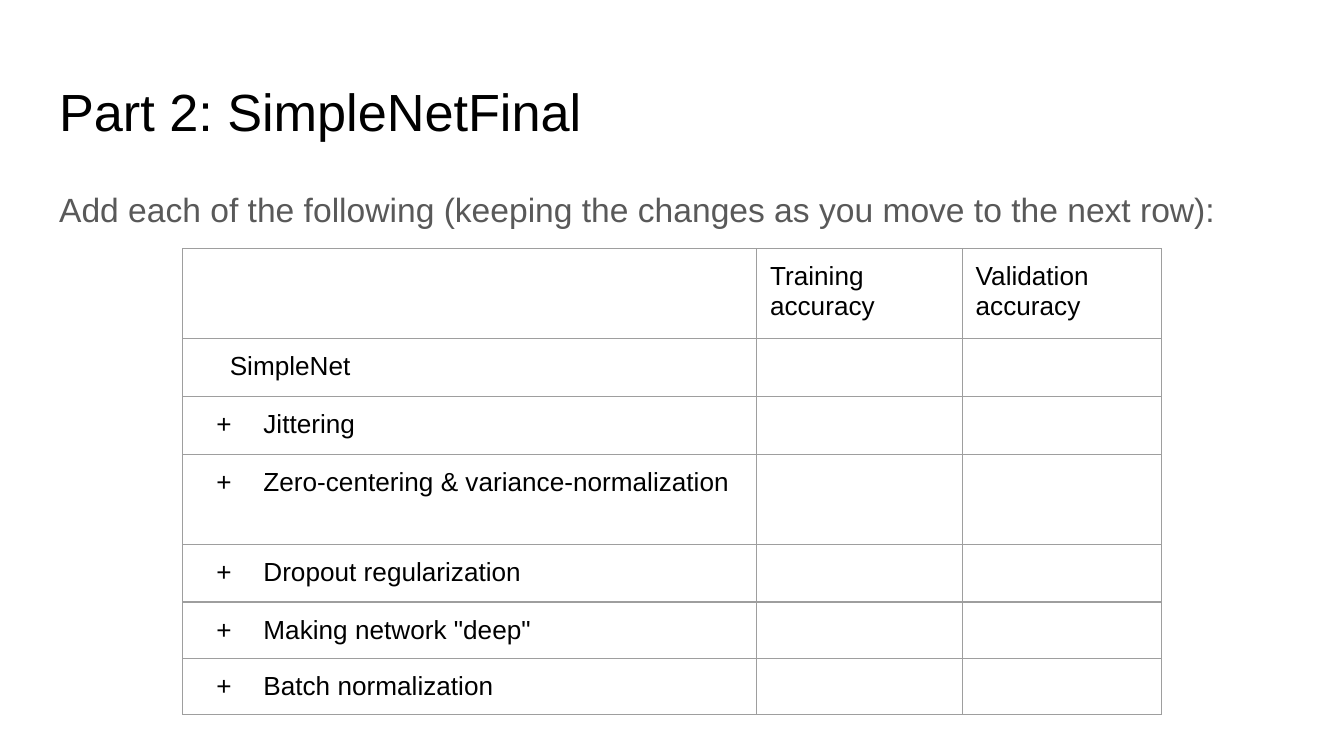
import pptx
import pptx.util
import pptx.dml.color
import pptx.enum.text
import pptx.oxml
import pptx.oxml.ns
from lxml import etree

Inches = pptx.util.Inches
Pt = pptx.util.Pt
qn = pptx.oxml.ns.qn

COLORS = {"title": "000000", "body": "595959", "cell": "000000", "border": "9E9E9E"}
COLUMN_WIDTHS = [4.27, 1.53, 1.48]
ROW_HEIGHTS = [0.67, 0.43, 0.43, 0.67, 0.43, 0.42, 0.42]
HEADINGS = ["", "Training accuracy", "Validation accuracy"]
BASELINE = "SimpleNet"
ADDITIONS = [
    "Jittering",
    "Zero-centering & variance-normalization",
    "Dropout regularization",
    'Making network "deep"',
    "Batch normalization",
]


def apply_format(target, values):
    """Set every attribute named in a dict of format values."""
    for name, value in values.items():
        setattr(target, name, value)


def margins():
    """Return equal inner margins for a cell or a text frame."""
    sides = ("left", "top", "right", "bottom")
    return {f"margin_{side}": Inches(0.1) for side in sides}


def write_text(para, text, size, color):
    """Add one formatted span to a paragraph."""
    span = para.add_run()
    span.text = text
    apply_format(span.font, {"name": "Arial", "size": Pt(size), "bold": False})
    span.font.color.rgb = pptx.dml.color.RGBColor.from_string(COLORS[color])


def set_bullet(para, left, indent, mark=None):
    """Indent a paragraph and give it a bullet mark or none."""
    props = para._p.get_or_add_pPr()
    props.set("marL", str(Inches(left)))
    props.set("indent", str(Inches(indent)))
    if mark is None:
        etree.SubElement(props, qn("a:buNone"))
        return
    tint = etree.SubElement(props, qn("a:buClr"))
    etree.SubElement(tint, qn("a:srgbClr"), val=COLORS["cell"])
    etree.SubElement(props, qn("a:buFont"), typeface="Arial")
    etree.SubElement(props, qn("a:buChar"), char=mark)


def fill_placeholder(box, area, text, size, color, spacing):
    """Move a placeholder and write its single left-aligned paragraph."""
    places = map(Inches, area)
    apply_format(box, dict(zip(("left", "top", "width", "height"), places)))
    frame = box.text_frame
    apply_format(frame, {
        **margins(),
        "word_wrap": True,
        "auto_size": pptx.enum.text.MSO_AUTO_SIZE.NONE,
        "vertical_anchor": pptx.enum.text.MSO_ANCHOR.TOP,
    })
    para = frame.paragraphs[0]
    apply_format(para, {
        "alignment": pptx.enum.text.PP_ALIGN.LEFT,
        "line_spacing": spacing,
        "space_before": Pt(0),
    })
    set_bullet(para, 0, 0)
    write_text(para, text, size, color)


def format_cell(cell, text):
    """Give a cell margins, thin borders, no fill and its text."""
    apply_format(cell, margins())
    cell.fill.background()
    props = cell._tc.get_or_add_tcPr()
    for index, side in enumerate(("lnL", "lnR", "lnT", "lnB")):
        line = etree.Element(qn(f"a:{side}"), w=str(Pt(0.75)))
        paint = etree.SubElement(line, qn("a:solidFill"))
        etree.SubElement(paint, qn("a:srgbClr"), val=COLORS["border"])
        props.insert(index, line)
    para = cell.text_frame.paragraphs[0]
    if text:
        write_text(para, text, 14, "cell")
    else:
        ending = etree.SubElement(para._p, qn("a:endParaRPr"), sz="1400")
        etree.SubElement(ending, qn("a:latin"), typeface="Arial")


def add_accuracy_table(page):
    """Add the table with one row per network change."""
    rows = [HEADINGS] + [[name, "", ""] for name in [BASELINE] + ADDITIONS]
    frame = page.shapes.add_table(
        len(rows), len(HEADINGS), Inches(1.36), Inches(1.85),
        Inches(sum(COLUMN_WIDTHS)), Inches(sum(ROW_HEIGHTS)))
    table = frame.table
    apply_format(table, {"first_row": False, "horz_banding": False})
    for column, width in zip(table.columns, COLUMN_WIDTHS):
        column.width = Inches(width)
    for row, height, texts in zip(table.rows, ROW_HEIGHTS, rows):
        row.height = Inches(height)
        for cell, text in zip(row.cells, texts):
            format_cell(cell, text)
    for index in range(1, len(rows)):
        para = table.cell(index, 0).text_frame.paragraphs[0]
        if index == 1:
            set_bullet(para, 0.25, 0)
        else:
            set_bullet(para, 0.5, -0.35, "+")


def main():
    """Build the slide and save the deck."""
    deck = pptx.Presentation()
    width = Inches(10)
    apply_format(deck, {"slide_width": width, "slide_height": width * 9 // 16})
    page = deck.slides.add_slide(deck.slide_layouts[1])
    fill_placeholder(page.shapes.title, (0.34, 0.49, 9.32, 0.63),
                     "Part 2: SimpleNetFinal", 28, "title", 1.0)
    fill_placeholder(page.placeholders[1], (0.34, 1.26, 9.32, 3.74),
                     "Add each of the following (keeping the changes as you "
                     "move to the next row):", 18, "body", 1.15)
    add_accuracy_table(page)
    deck.save("out.pptx")


main()
